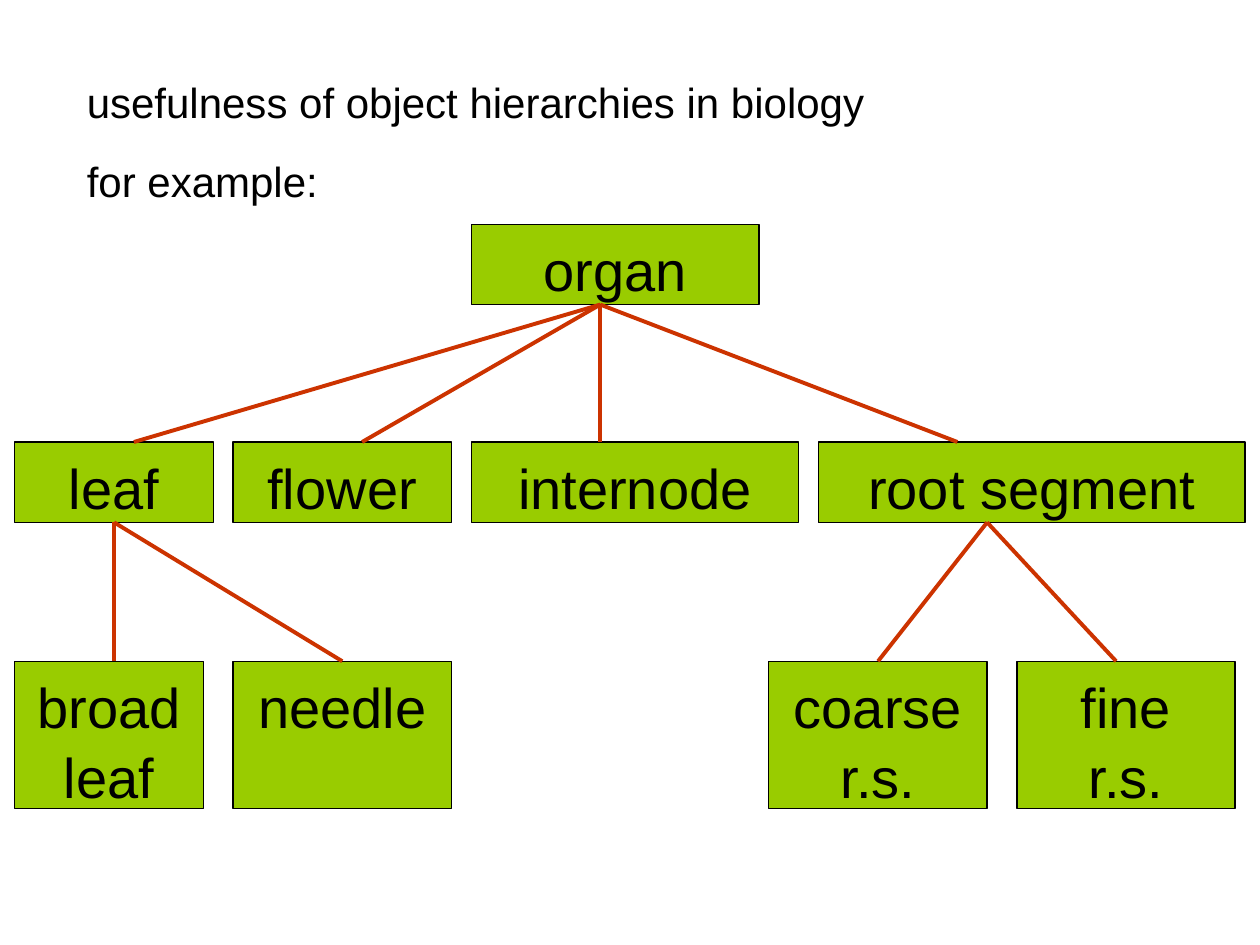
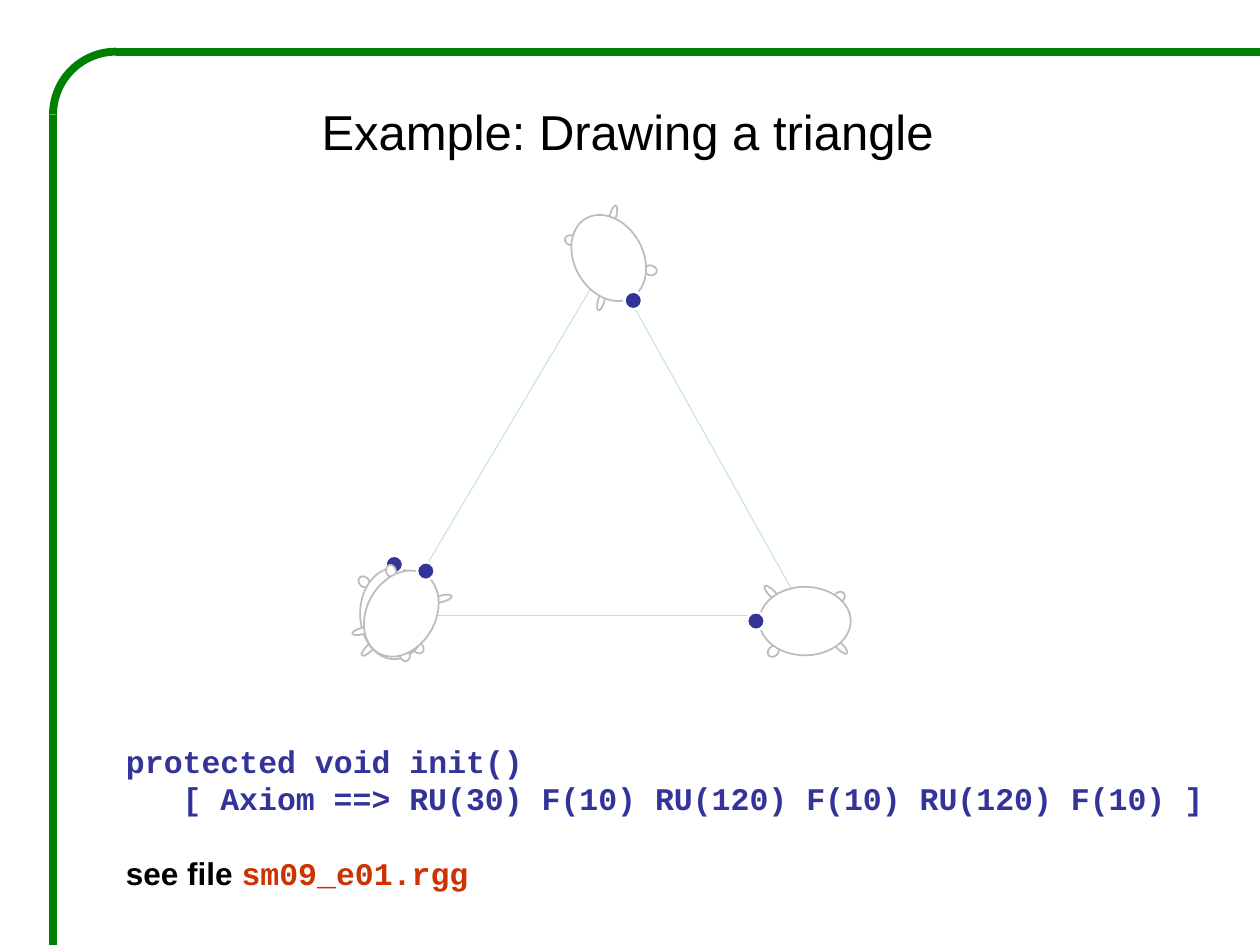
from math import cos, radians, sin

from lxml import etree
from pptx import Presentation
from pptx import util as u
from pptx.dml.color import RGBColor
from pptx.enum import shapes, text

Cm, Pt = u.Cm, u.Pt

# Shared style
SANS, MONO = "Arial", "Courier New"
BLACK, WHITE, RED, INDIGO = "000000", "FFFFFF", "CC3300", "333399"
LIME, GREEN, GREY, PALE = "99CC00", "008000", "BCBCBC", "BBE0E3"

# Slide 1: each level is (top, height, [(label lines, left, width)])
INTRO = ["usefulness of object hierarchies in biology", "for example:"]
LEVELS = [
    (4.52, 1.62, [(["organ"], 9.5, 5.8)]),
    (8.91, 1.62, [(["leaf"], 0.3, 4), (["flower"], 4.7, 4.4),
                  (["internode"], 9.5, 6.6), (["root segment"], 16.5, 8.6)]),
    (13.33, 2.97, [(["broad", "leaf"], 0.3, 3.8), (["needle"], 4.7, 4.4),
                   (["coarse", "r.s."], 15.5, 4.4), (["fine", "r.s."], 20.5, 4.4)]),
]
# Branches: (parent level, joint x, child x positions)
BRANCHES = [
    (0, 12.1, [2.7, 7.3, 12.1, 19.3]),
    (1, 2.3, [2.3, 6.9]),
    (1, 19.9, [17.7, 22.5]),
]

# Slide 2
TITLE = "Example: Drawing a triangle"
CODE = ["protected void init()",
        "[ Axiom ==> RU(30) F(10) RU(120) F(10) RU(120) F(10) ]"]
CORNERS = [(8, 12.4), (12.25, 5.24), (16.25, 12.4)]
# Turtles: (centre x, centre y, heading in degrees)
TURTLES = [(7.95, 12.37, 0), (8.09, 12.37, 30), (12.27, 5.2, 150), (16.23, 12.52, 270)]
# Turtle parts facing up: (dx, dy, width, height, tilt, fill, line, line width)
TURTLE_PARTS = [
    (0.48, 0.69, 0.25, 0.2, 45, WHITE, GREY, 1),
    (-0.61, -0.64, 0.25, 0.2, 45, WHITE, GREY, 1),
    (0.56, -0.67, 0.41, 0.13, 135, WHITE, GREY, 1),
    (-0.51, 0.7, 0.41, 0.13, 135, WHITE, GREY, 1),
    (0, 0, 1.38, 1.84, 0, WHITE, GREY, 1),
    (0, -0.99, 0.36, 0.36, 0, INDIGO, WHITE, 1.5),
]


def rgb(color):
    return RGBColor.from_string(color)


def add_run(p, content, size, color, font=SANS, bold=False):
    r = p.add_run()
    r.text = content
    r.font.size, r.font.name, r.font.bold = Pt(size), font, bold
    r.font.color.rgb = rgb(color)


def add_paragraphs(tf, count, before=0, align=text.PP_ALIGN.LEFT):
    """Prepare the frame and return its paragraphs, spaced after the first."""
    tf.word_wrap = True
    tf.vertical_anchor = text.MSO_ANCHOR.TOP
    tf.margin_top = Cm(0.23)
    ps = [tf.paragraphs[0]] + [tf.add_paragraph() for _ in range(count - 1)]
    for i, p in enumerate(ps):
        p.alignment = align
        p.space_before = Pt(before if i else 0)
    return ps


def add_text_box(s, x, y, w, h):
    return s.shapes.add_textbox(Cm(x), Cm(y), Cm(w), Cm(h)).text_frame


def add_shape(tree, kind, x, y, w, h, fill, line, width):
    sp = tree.add_shape(kind, Cm(x), Cm(y), Cm(w), Cm(h))
    sp.shadow.inherit = False
    if fill:
        sp.fill.solid()
        sp.fill.fore_color.rgb = rgb(fill)
    else:
        sp.fill.background()
    sp.line.color.rgb = rgb(line)
    sp.line.width = Pt(width)
    return sp


def add_line(s, start, end, color, width):
    ln = s.shapes.add_connector(shapes.MSO_CONNECTOR.STRAIGHT, *map(Cm, start + end))
    ln.line.color.rgb = rgb(color)
    ln.line.width = Pt(width)
    sp_pr = ln._element.spPr
    etree.SubElement(sp_pr, sp_pr.nsmap["a"].join("{}") + "effectLst")


def add_turtle(s, cx, cy, heading):
    grp = s.shapes.add_group_shape()
    c, d = cos(radians(heading)), sin(radians(heading))
    for dx, dy, w, h, tilt, fill, line, width in TURTLE_PARTS:
        x, y = cx + dx * c - dy * d, cy + dx * d + dy * c
        sp = add_shape(grp.shapes, shapes.MSO_SHAPE.OVAL, x - w / 2, y - h / 2,
                       w, h, fill, line, width)
        sp.rotation = (heading + tilt) % 360


def build_hierarchy(prs):
    s = prs.slides.add_slide(prs.slide_layouts[6])
    tf = add_text_box(s, 1.5, 1.32, 22.6, 2.82)
    for p, line in zip(add_paragraphs(tf, len(INTRO), 16), INTRO):
        add_run(p, line, 24, BLACK)

    # Class boxes
    for top, height, boxes in LEVELS:
        for lines, left, width in boxes:
            sp = add_shape(s.shapes, shapes.MSO_SHAPE.RECTANGLE, left, top,
                           width, height, LIME, BLACK, 0.75)
            ps = add_paragraphs(sp.text_frame, len(lines), 1.5, text.PP_ALIGN.CENTER)
            for p, line in zip(ps, lines):
                add_run(p, line, 32, BLACK)

    # Branches from the bottom of a parent to the top of the next level
    for level, joint, children in BRANCHES:
        bottom = LEVELS[level][0] + LEVELS[level][1]
        for x in children:
            add_line(s, (x, LEVELS[level + 1][0]), (joint, bottom), RED, 2.25)


def build_triangle(prs):
    s = prs.slides.add_slide(prs.slide_layouts[5])
    title = s.shapes.title
    title.left, title.top, title.width, title.height = map(Cm, (1.1, 1.73, 23.1, 1.8))
    title.text_frame.vertical_anchor = text.MSO_ANCHOR.MIDDLE
    p = title.text_frame.paragraphs[0]
    p.alignment = text.PP_ALIGN.CENTER
    add_run(p, TITLE, 28, BLACK)

    # Triangle and the turtles that walk along it
    for start, end in zip(CORNERS, CORNERS[1:] + CORNERS[:1]):
        add_line(s, start, end, PALE, 0.5)
    for turtle in TURTLES:
        add_turtle(s, *turtle)

    # Code and file name
    tf = add_text_box(s, 2.29, 14.73, 22.6, 3.3)
    ps = add_paragraphs(tf, len(CODE) + 1)
    for p in ps:
        p.line_spacing = Pt(21.4)
    for p, line in zip(ps, CODE):
        add_run(p, line, 18, INDIGO, MONO, True)
    ps[1]._p.get_or_add_pPr().set("marL", str(Cm(1.14)))
    ps[2].space_before = Pt(21.4)
    add_run(ps[2], "see file ", 18, BLACK, SANS, True)
    add_run(ps[2], "sm09_e01.rgg", 18, RED, MONO, True)

    # Green frame: top edge, left edge, rounded corner
    left, top, size = 1.07, 1.04, 2.54
    add_line(s, (25.4, top), (left + size / 2, top), GREEN, 4.5)
    add_line(s, (left, top + size / 2), (left, 19.05), GREEN, 4.5)
    arc = add_shape(s.shapes, shapes.MSO_SHAPE.ARC, left, top, size, size, None, GREEN, 4.5)
    arc.rotation = 270


def main():
    prs = Presentation()
    prs.slide_width, prs.slide_height = Cm(25.4), Cm(19.05)
    build_hierarchy(prs)
    build_triangle(prs)
    prs.save("out.pptx")


if __name__ == "__main__":
    main()
